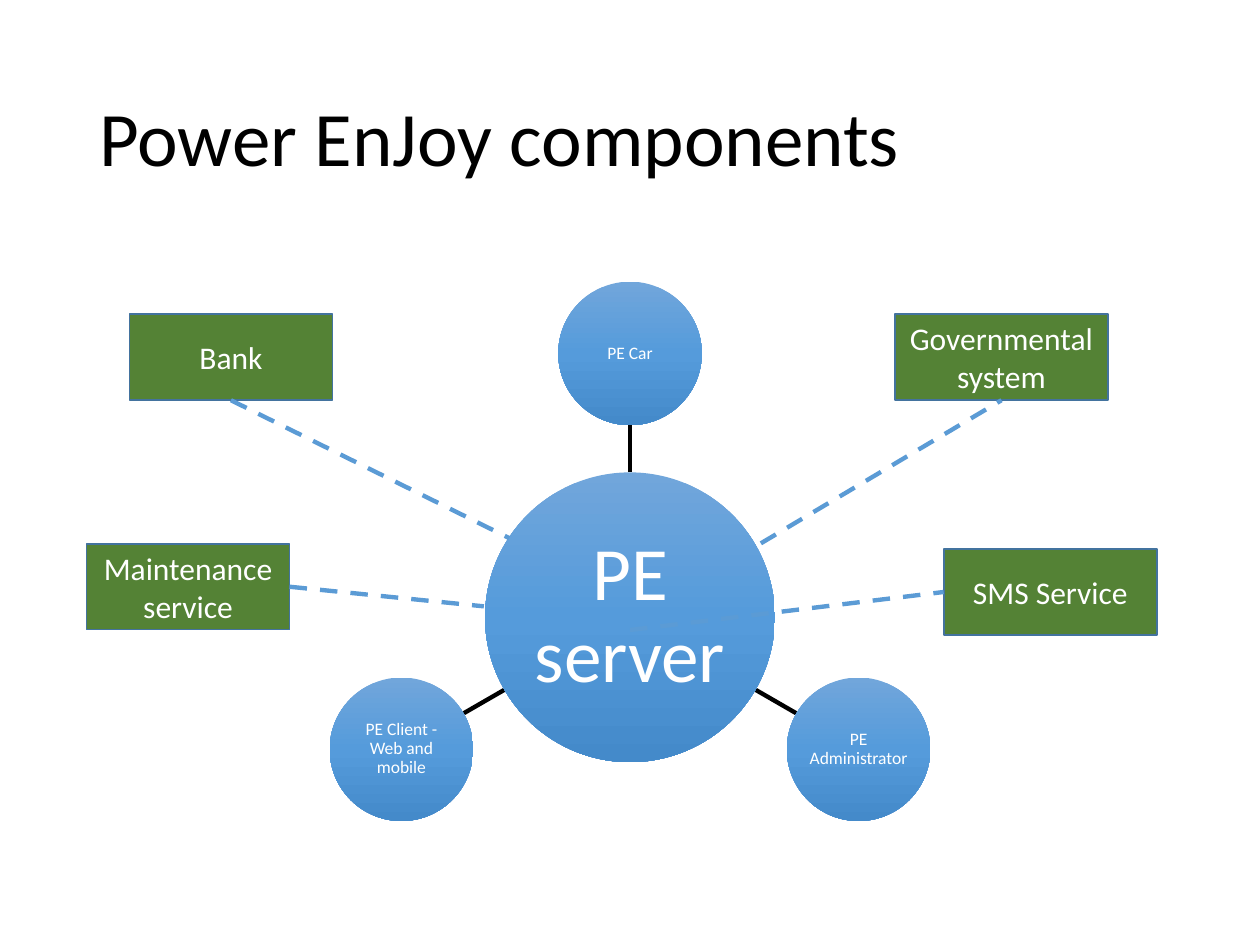
from copy import deepcopy
from math import cos, radians, sin

from lxml.etree import SubElement
from pptx import Presentation
from pptx.dml.color import RGBColor as RGB
from pptx.enum.dml import MSO_LINE_DASH_STYLE as Dash
from pptx.enum.shapes import MSO_CONNECTOR as Connector, MSO_SHAPE as Shape
from pptx.enum.text import MSO_ANCHOR as Anchor, PP_ALIGN as Align
from pptx.oxml.ns import qn
from pptx.util import Pt

THEME = {
    "font": "Calibri",
    "title": RGB(0, 0, 0),
    "label": RGB(255, 255, 255),
    "gradient": [(0, "71A6DB"), (0.5, "559BDB"), (1, "448ACA")],
    "service": RGB.from_string("548235"),
    "service_edge": RGB.from_string("43739E"),
    "spoke": RGB(0, 0, 0),
    "link": RGB.from_string("5B9BD5"),
    "title_size": 44, "hub_size": 43, "node_size": 10, "service_size": 18,
    "line_width": 2.5,
}

deck = Presentation()
deck.slide_width, deck.slide_height = Pt(720), Pt(540)
slide = deck.slides.add_slide(deck.slide_layouts[5])


def add_node(kind, left, top, width, height, label, size, inset=None, spacing=None):
    """Add a shape with a centred label."""
    node = slide.shapes.add_shape(kind, Pt(left), Pt(top), Pt(width), Pt(height))
    node.shadow.inherit = False
    frame = node.text_frame
    frame.word_wrap, frame.vertical_anchor = True, Anchor.MIDDLE
    if inset is not None:
        for side in ("left", "top", "right", "bottom"):
            setattr(frame, f"margin_{side}", Pt(inset))
    line = frame.paragraphs[0]
    line.text, line.alignment, line.line_spacing = label, Align.CENTER, spacing
    look = {"name": THEME["font"], "size": Pt(size)}
    for key, value in look.items():
        setattr(line.font, key, value)
    line.font.color.rgb = THEME["label"]
    return node


def add_link(start, end, color, dash=None):
    """Add a straight line between two points."""
    link = slide.shapes.add_connector(Connector.STRAIGHT, *map(Pt, (*start, *end)))
    link.line.color.rgb, link.line.width = color, Pt(THEME["line_width"])
    if dash:
        link.line.dash_style = dash
    SubElement(link._element.spPr, qn("a:effectLst"))


# Title
title = slide.shapes.title
placement = {"left": 49.5, "top": 28.75, "width": 621, "height": 104.4}
for key, value in placement.items():
    setattr(title, key, Pt(value))
title.text_frame.vertical_anchor = Anchor.MIDDLE
heading = title.text_frame.paragraphs[0]
heading.text, heading.alignment, heading.line_spacing = "Power EnJoy components", Align.LEFT, 0.9
heading.font.name, heading.font.size = THEME["font"], Pt(THEME["title_size"])
heading.font.color.rgb = THEME["title"]

# Server hub with its clients placed around it, 120 degrees apart
HUB_X, HUB_Y, HUB_R = 360, 352.75, 82.8
NODE_R, ORBIT = 41, 150.8
circles = [(HUB_X, HUB_Y, HUB_R, "PE server", THEME["hub_size"], 2)]
for step, label in enumerate(["PE Car", "PE Administrator", "PE Client - Web and mobile"]):
    angle = radians(-90 + 120 * step)
    start, end, center = [
        (HUB_X + reach * cos(angle), HUB_Y + reach * sin(angle))
        for reach in (HUB_R, ORBIT - NODE_R, ORBIT)
    ]
    add_link(start, end, THEME["spoke"])
    circles.append((*center, NODE_R, label, THEME["node_size"], 0.5))

for x, y, radius, label, size, inset in circles:
    circle = add_node(Shape.OVAL, x - radius, y - radius, 2 * radius, 2 * radius,
                      label, size, inset, 0.9)
    circle.line.fill.background()
    circle.fill.gradient()
    circle.fill.gradient_angle = 270
    stops = circle._element.spPr.find(qn("a:gradFill")).find(qn("a:gsLst"))
    stops.append(deepcopy(stops[-1]))
    for stop, (position, color) in zip(circle.fill.gradient_stops, THEME["gradient"]):
        stop.position, stop.color.rgb = position, RGB.from_string(color)

# External services: label, left, top, width, link start, link end
BOX_H = 49
services = [
    ("Bank", 74, 179.5, 116, (132, 228.7), (291, 307.5)),
    ("Governmental system", 511.25, 179.5, 122, (434.8, 310.5), (572.3, 228.7)),
    ("Maintenance service", 49.5, 310.75, 116, (165.5, 335.3), (276.5, 346.5)),
    ("SMS Service", 539.25, 313.75, 122, (360, 360), (539.25, 338.3)),
]
for label, left, top, width, start, end in services:
    box = add_node(Shape.RECTANGLE, left, top, width, BOX_H, label, THEME["service_size"])
    box.fill.solid()
    box.fill.fore_color.rgb = THEME["service"]
    box.line.color.rgb, box.line.width = THEME["service_edge"], Pt(1)
    add_link(start, end, THEME["link"], Dash.DASH)

deck.save("out.pptx")
